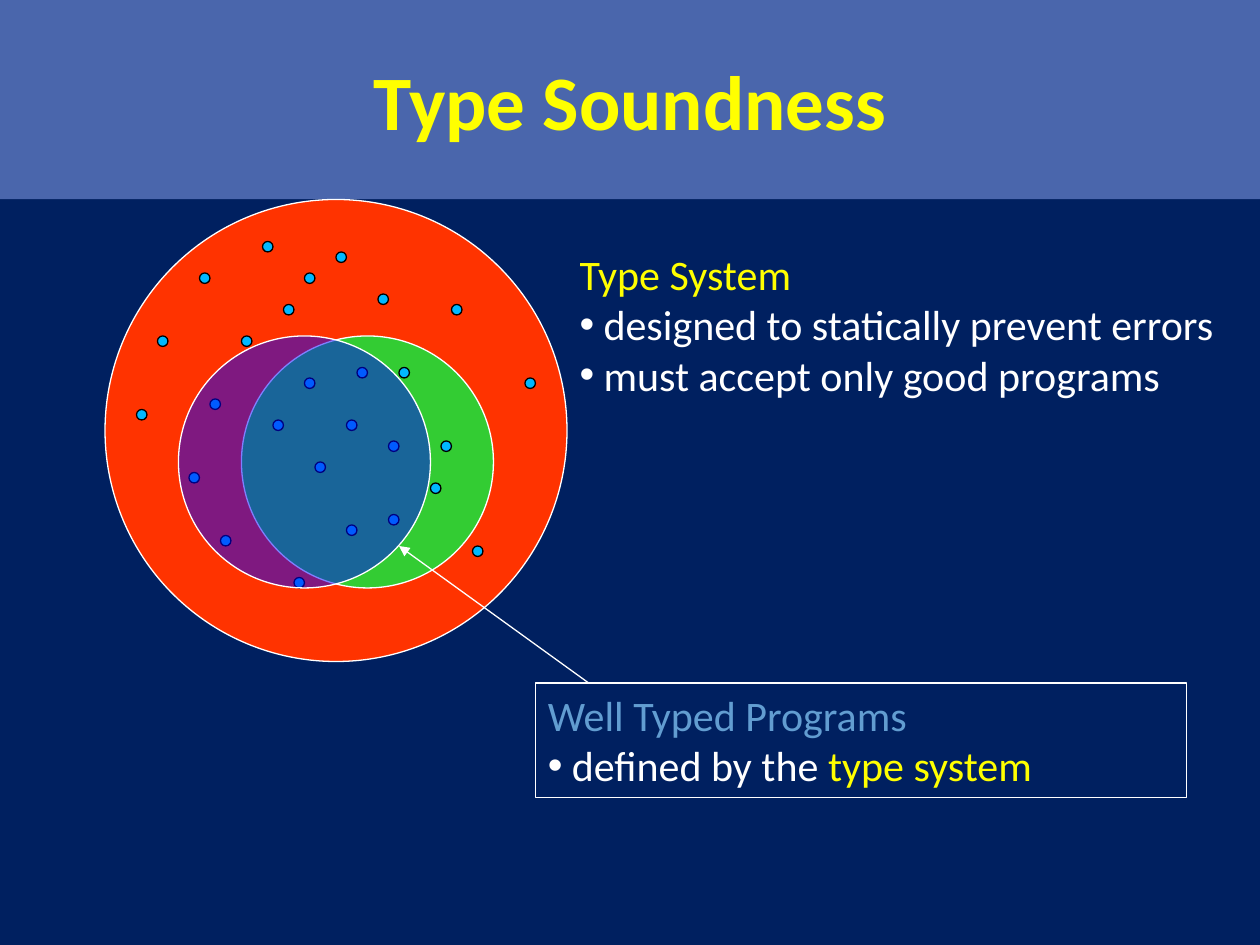
from pptx import Presentation
from pptx.dml.color import RGBColor
from pptx.enum.shapes import MSO_CONNECTOR, MSO_SHAPE
from pptx.enum.text import MSO_ANCHOR, MSO_AUTO_SIZE, PP_ALIGN
from pptx.oxml.ns import qn
from pptx.util import Inches, Pt
from lxml import etree

OVAL, RECT = MSO_SHAPE.OVAL, MSO_SHAPE.RECTANGLE
STRAIGHT = MSO_CONNECTOR.STRAIGHT
TOP, MIDDLE = MSO_ANCHOR.TOP, MSO_ANCHOR.MIDDLE
CENTER, LEFT = PP_ALIGN.CENTER, PP_ALIGN.LEFT
NO_FIT = MSO_AUTO_SIZE.NONE

COLORS = {
    "navy": "002060", "band": "4A66AC", "yellow": "FFFF00", "white": "FFFFFF",
    "black": "000000", "red": "FF3300", "green": "33CC33", "blue": "0000FF",
    "cyan": "00B8FF", "sky": "629DD1",
}
FONT = "Calibri"

# Content: each line is (bulleted, [(text, color), ...])
TITLE = "Type Soundness"
SYSTEM = [
    (False, [("Type System", "yellow")]),
    (True, [("designed to statically prevent errors", "white")]),
    (True, [("must accept only good programs", "white")]),
]
TYPED = [
    (False, [("Well Typed Programs", "sky")]),
    (True, [("defined by the ", "white"), ("type system", "yellow")]),
]

# Diagram grid: twelfths of an inch; circles are (left, top, size, color)
ALL = (10, 19, 44, "red")
GOOD = (23, 32, 24, "green")
ACCEPTED = (17, 32, 24, "blue")
ARROW = (56, 65, 38, 52)
DOTS = [
    (19, 26), (15, 32), (25, 23), (29, 26), (23, 32), (27, 29), (20, 38),
    (18, 45), (21, 51), (32, 24), (36, 28), (26, 40), (37, 42), (30, 44),
    (34, 35), (41, 46), (33, 50), (33, 40), (28, 55), (45, 52), (42, 42),
    (43, 29), (37, 49), (29, 36), (38, 35), (13, 39), (50, 36),
]


def rgb(name):
    return RGBColor.from_string(COLORS[name])


def unit(n):
    return Inches(n / 12)


def place(shape, left, top, width, height):
    shape.left, shape.top = Inches(left), Inches(top)
    shape.width, shape.height = Inches(width), Inches(height)


def outline(shape, color):
    shape.line.color.rgb = rgb(color)
    shape.line.width = Pt(0.75)


def circle(left, top, size, fill, edge="white"):
    shape = slide.shapes.add_shape(OVAL, *map(unit, (left, top, size, size)))
    shape.shadow.inherit = False
    shape.fill.solid()
    shape.fill.fore_color.rgb = rgb(fill)
    outline(shape, edge)
    return shape


def write(frame, lines):
    frame.word_wrap = True
    frame.auto_size = NO_FIT
    frame.vertical_anchor = TOP
    for i, (bullet, runs) in enumerate(lines):
        para = frame.paragraphs[0] if i == 0 else frame.add_paragraph()
        para.alignment = LEFT
        para.space_before = Pt(0)
        para.font.name, para.font.size = FONT, Pt(24)
        props = para._p.get_or_add_pPr()
        hang = Inches(0.19) if bullet else 0
        props.set("marL", str(hang))
        props.set("indent", str(-hang))
        if bullet:
            mark = etree.Element(qn("a:buFont"), typeface="Arial")
            sign = etree.Element(qn("a:buChar"), char="•")
            props.find(qn("a:defRPr")).addprevious(mark)
            mark.addnext(sign)
        else:
            props.find(qn("a:defRPr")).addprevious(etree.Element(qn("a:buNone")))
        for text, color in runs:
            run = para.add_run()
            run.text = text
            run.font.name, run.font.size = FONT, Pt(24)
            run.font.color.rgb = rgb(color)


prs = Presentation()
prs.slide_width, prs.slide_height = Inches(10), Inches(7.5)
slide = prs.slides.add_slide(prs.slide_layouts[1])
slide.background.fill.solid()
slide.background.fill.fore_color.rgb = rgb("navy")

# Title band
title = slide.shapes.title
place(title, 0, 0, 10, 1.58)
title.fill.solid()
title.fill.fore_color.rgb = rgb("band")
title.text_frame.text = TITLE
title.text_frame.auto_size = NO_FIT
title.text_frame.vertical_anchor = MIDDLE
head = title.text_frame.paragraphs[0]
head.alignment = CENTER
head.font.name, head.font.size, head.font.bold = FONT, Pt(44), True
head.font.color.rgb = rgb("yellow")

# Type system list
body = slide.placeholders[1]
place(body, 4.5, 1.92, 5.42, 1.31)
write(body.text_frame, SYSTEM)

# Program sets
circle(*ALL)
circle(*GOOD)

# Arrow from the callout to the accepted set
arrow = slide.shapes.add_connector(STRAIGHT, *map(unit, ARROW))
outline(arrow, "white")
etree.SubElement(arrow.line._get_or_add_ln(), qn("a:tailEnd"), type="triangle")
etree.SubElement(arrow._element.spPr, qn("a:effectLst"))

# Programs
for left, top in DOTS:
    circle(left, top, 1, "cyan", "black")

# Callout
box = slide.shapes.add_shape(RECT, 0, 0, 0, 0)
place(box, 4.25, 5.42, 5.17, 0.91)
box.shadow.inherit = False
box.fill.background()
outline(box, "white")
write(box.text_frame, TYPED)

# Accepted set, half transparent over the dots
veil = circle(*ACCEPTED)
tint = veil._element.spPr.find(qn("a:solidFill"))[0]
etree.SubElement(tint, qn("a:alpha"), val="50000")

prs.save("out.pptx")
